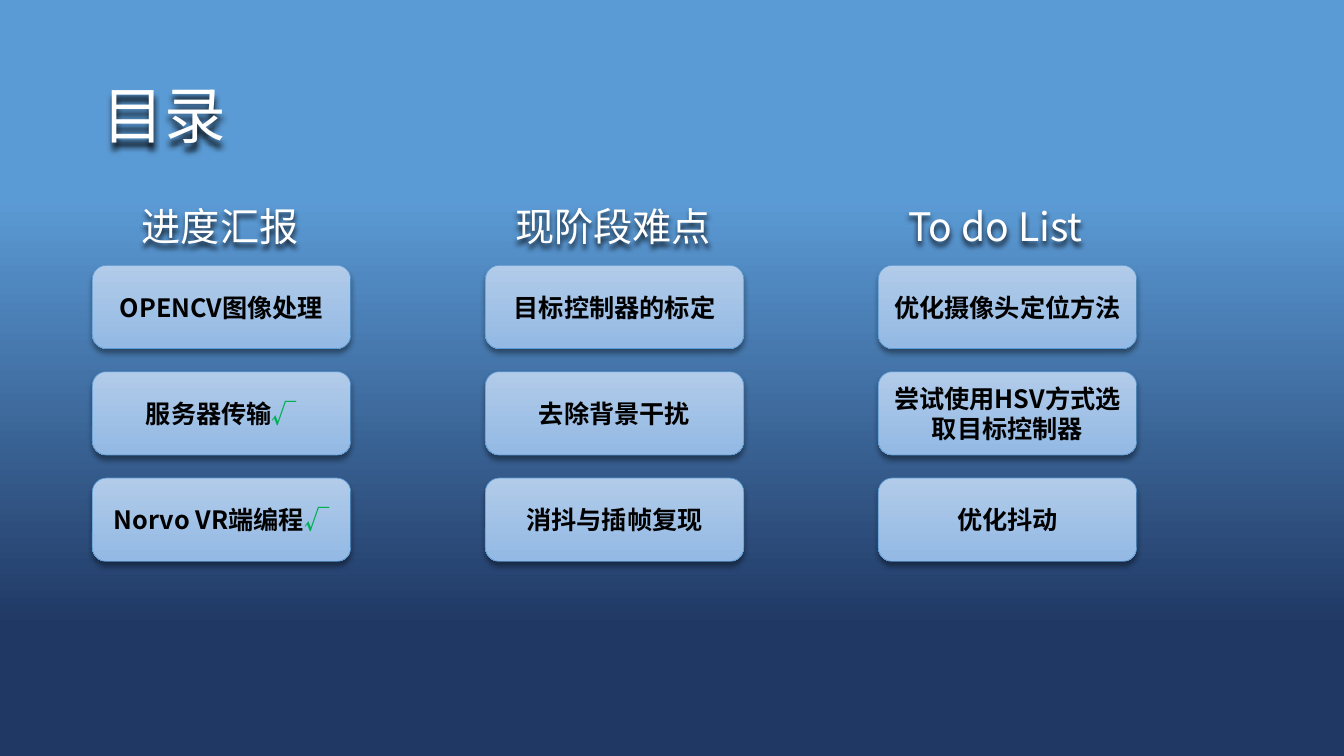
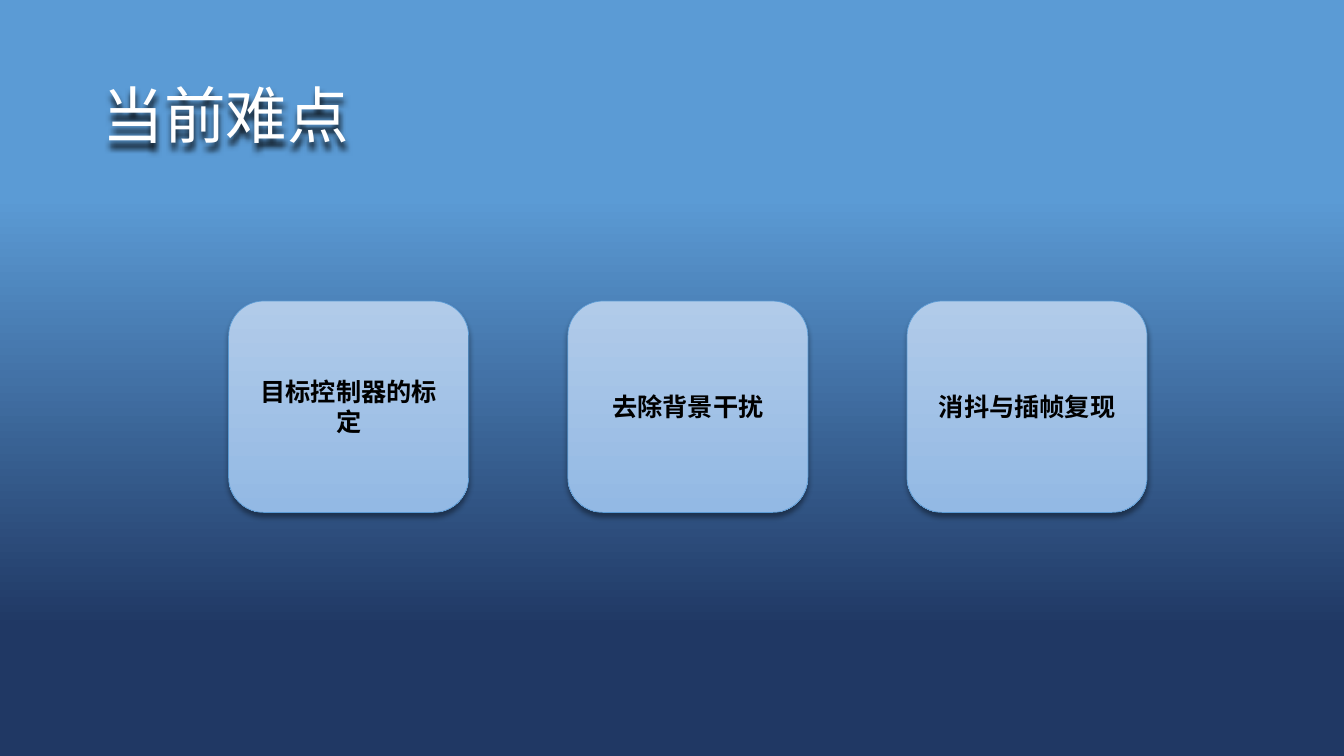
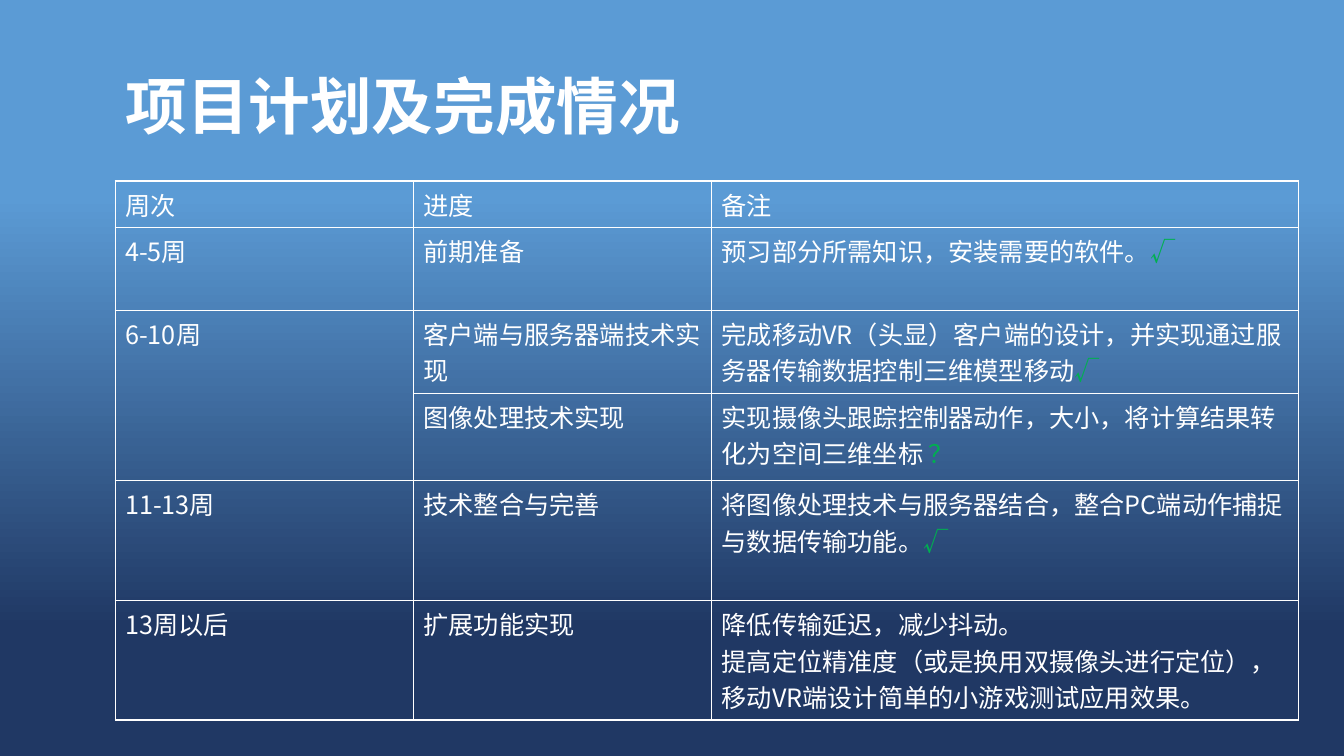
"""Build three progress slides: contents, current problems and project plan."""
from pptx import Presentation
from pptx.dml.color import RGBColor
from pptx.enum.shapes import MSO_SHAPE
from pptx.enum.text import MSO_ANCHOR, MSO_AUTO_SIZE, PP_ALIGN
from pptx.oxml import parse_xml
from pptx.oxml.ns import nsdecls, qn
from pptx.util import Pt

ROUND = MSO_SHAPE.ROUNDED_RECTANGLE
MIDDLE = MSO_ANCHOR.MIDDLE
FIXED = MSO_AUTO_SIZE.NONE
LEFT, CENTER = PP_ALIGN.LEFT, PP_ALIGN.CENTER
FONT = "Noto Sans CJK SC"
MARKS = "√？"
WHITE = RGBColor(0xFF, 0xFF, 0xFF)
BLACK = RGBColor(0, 0, 0)
GREEN = RGBColor(0x00, 0xB0, 0x50)
BLUE = RGBColor(0x5B, 0x9B, 0xD5)
NAVY = RGBColor(0x20, 0x38, 0x64)
PALE = RGBColor(0xB1, 0xCB, 0xE9)
SKY = RGBColor(0x93, 0xB9, 0xE4)


def write(frame, text, size, color, bold=False, align=LEFT, space=1.0):
    """Fill a text frame, with a closing mark in green."""
    frame.text = text
    for par in frame.paragraphs:
        par.alignment = align
        par.line_spacing = space
        line = par.text
        body = line.rstrip(MARKS)
        par.runs[0].text = body
        if body != line:
            par.add_run().text = line[len(body):]
        for run in par.runs:
            font = run.font
            font.name, font.size, font.bold = FONT, Pt(size), bold
            font.color.rgb = GREEN if run.text in MARKS else color
            ea = parse_xml(f'<a:ea {nsdecls("a")} typeface="{FONT}"/>')
            font._element.append(ea)


def shade(shape, blur, dist, alpha):
    """Give a shape a soft black shadow below it."""
    shape.shadow.inherit = False
    shape._element.spPr.find(qn("a:effectLst")).append(parse_xml(
        f'<a:outerShdw {nsdecls("a")} blurRad="{Pt(blur)}" dist="{Pt(dist)}" '
        f'dir="5400000" algn="ctr" rotWithShape="0"><a:srgbClr val="000000">'
        f'<a:alpha val="{alpha}000"/></a:srgbClr></a:outerShdw>'))


prs = Presentation()
prs.slide_width, prs.slide_height = Pt(960), Pt(540)

back = prs.slide_master.background.fill
back.gradient()
back.gradient_angle = 270
for stop, spot, color in zip(back.gradient_stops, (0.26, 0.83), (BLUE, NAVY)):
    stop.position = spot
    stop.color.rgb = color

TITLES = [
    ("目录", (66, 32.5, 828, 104.5), False),
    ("当前难点", (66, 32.5, 828, 104.5), False),
    ("项目计划及完成情况", (82.5, 28, 720, 101), True),
]
slides = []
for text, place, bold in TITLES:
    slide = prs.slides.add_slide(prs.slide_layouts[5])
    title = slide.shapes.title
    title.left, title.top, title.width, title.height = map(Pt, place)
    frame = title.text_frame
    frame.auto_size = FIXED
    frame.vertical_anchor = MIDDLE
    write(frame, text, 44, WHITE, bold, space=0.9)
    if not bold:
        shade(title, 4, 4, 90)
    slides.append(slide)
index, issues, plan = slides

ISSUES = ["目标控制器的标定", "去除背景干扰", "消抖与插帧复现"]
GROUPS = [
    ("进度汇报", 128, ["OPENCV图像处理", "服务器传输√", "Norvo VR端编程√"]),
    ("现阶段难点", 156, ISSUES),
    ("To do List", 156,
     ["优化摄像头定位方法", "尝试使用HSV方式选取目标控制器", "优化抖动"]),
]
CARD_W, CARD_H = 184.5, 59.5
cards = []
for col, (head, wide, items) in enumerate(GROUPS):
    left = 66 + col * 280.7
    box = index.shapes.add_textbox(
        Pt(left + (CARD_W - wide) / 2), Pt(141), Pt(wide), Pt(41))
    box.text_frame.word_wrap = True
    write(box.text_frame, head, 28, WHITE)
    shade(box, 4, 3, 80)
    for row, item in enumerate(items):
        cards.append((index, item, left, 189.5 + row * 76, CARD_W, CARD_H))
for col, item in enumerate(ISSUES):
    cards.append((issues, item, 163.3 + col * 242.3, 215, 171.5, 151))

for slide, item, *place in cards:
    card = slide.shapes.add_shape(ROUND, *map(Pt, place))
    card.fill.gradient()
    card.fill.gradient_angle = 270
    for stop, color in zip(card.fill.gradient_stops, (PALE, SKY)):
        stop.color.rgb = color
    card.line.color.rgb = BLUE
    card.line.width = Pt(0.5)
    shade(card, 4, 3, 40)
    frame = card.text_frame
    frame.word_wrap = True
    frame.vertical_anchor = MIDDLE
    write(frame, item, 18, BLACK, True, CENTER)

ROWS = [
    (33, "周次", "进度", "备注"),
    (59, "4-5周", "前期准备", "预习部分所需知识，安装需要的软件。√"),
    (59, "6-10周", "客户端与服务器端技术实现",
     "完成移动VR（头显）客户端的设计，并实现通过服务器传输数据控制三维模型移动√"),
    (62.5, "", "图像处理技术实现",
     "实现摄像头跟踪控制器动作，大小，将计算结果转化为空间三维坐标 ？"),
    (85.5, "11-13周", "技术整合与完善",
     "将图像处理技术与服务器结合，整合PC端动作捕捉与数据传输功能。√"),
    (85.5, "13周以后", "扩展功能实现",
     "降低传输延迟，减少抖动。\n"
     "提高定位精准度（或是换用双摄像头进行定位），移动VR端设计简单的小游戏测试应用效果。"),
]
WIDTHS = (213, 213, 419.5)
high = sum(row[0] for row in ROWS)
table = plan.shapes.add_table(
    len(ROWS), len(WIDTHS), Pt(82.3), Pt(129.3), Pt(sum(WIDTHS)), Pt(high)).table
table.first_row = table.horz_banding = False
for col, wide in zip(table.columns, WIDTHS):
    col.width = Pt(wide)
for r, (tall, *texts) in enumerate(ROWS):
    table.rows[r].height = Pt(tall)
    for c, text in enumerate(texts):
        cell = table.cell(r, c)
        if text:
            write(cell.text_frame, text, 18, WHITE)
        props = cell._tc.get_or_add_tcPr()
        for side in "LRTB":
            props.append(parse_xml(
                f'<a:ln{side} {nsdecls("a")} w="{Pt(1)}"><a:solidFill>'
                f'<a:srgbClr val="{WHITE}"/></a:solidFill></a:ln{side}>'))
        cell.fill.background()
table.cell(2, 0).merge(table.cell(3, 0))

prs.save("out.pptx")
